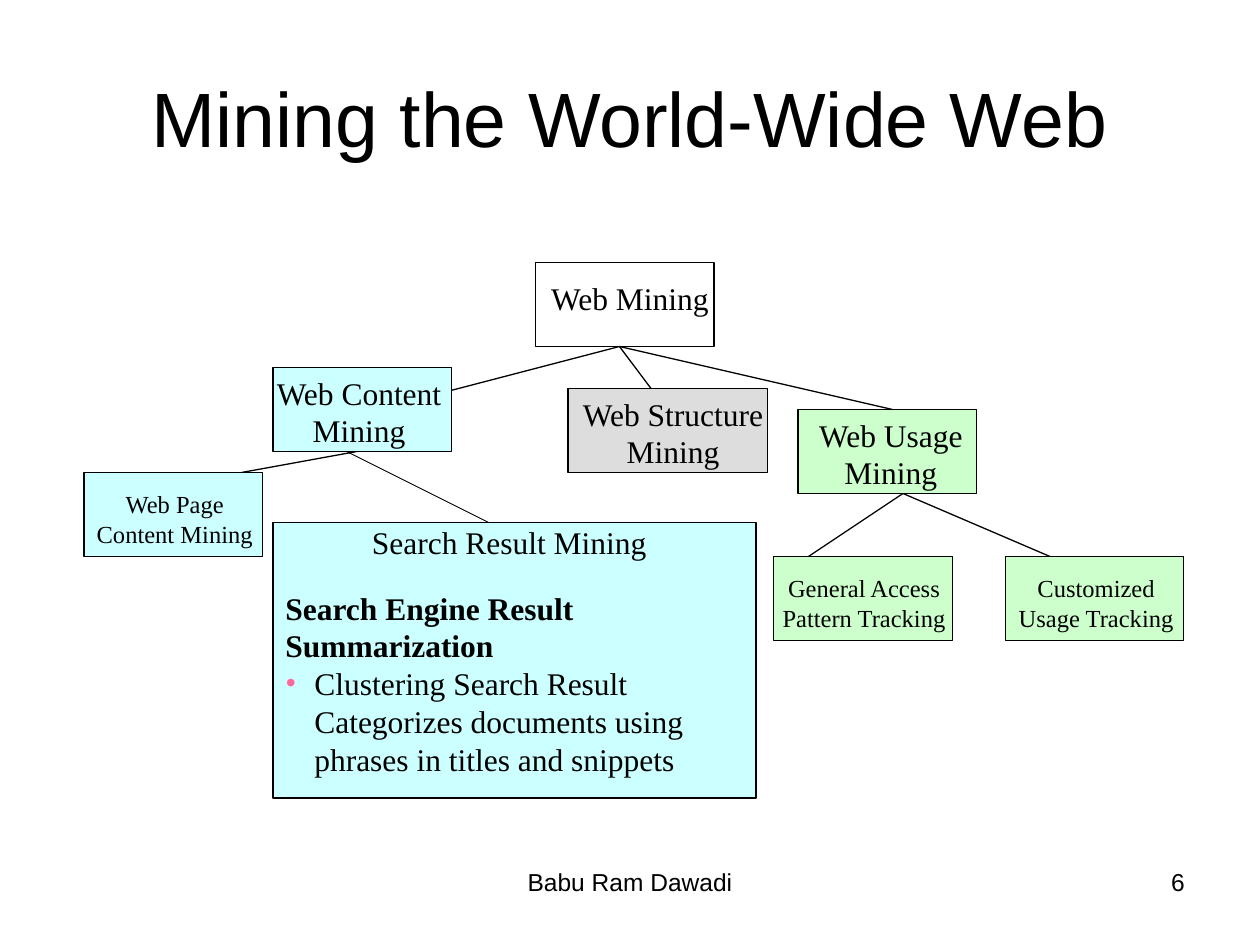
"""Build the web mining taxonomy slide."""
from lxml.etree import SubElement
from pptx import Presentation
from pptx.dml.color import RGBColor
from pptx.enum.shapes import MSO_CONNECTOR as CONN, MSO_SHAPE as SHAPE
from pptx.enum.text import MSO_ANCHOR as ANCHOR, PP_ALIGN as ALIGN
from pptx.oxml.ns import qn
from pptx.util import Inches, Pt

COLORS = {"ink": "000000", "content": "CCFFFF", "structure": "DDDDDD",
          "usage": "CCFFCC", "bullet": "FF6699"}
SERIF, SANS = "Times New Roman", "Arial"
UNIT = 1 / 12
TITLE = "Mining the World-Wide Web"

# Grid units: box, fill, lines, size, label left, label width, label drop
NODES = [
    ((51, 25, 17, 8), None, ["Web Mining"], 18, 51.2, 17.6, 1),
    ((76, 39, 17, 8), "usage", ["Web Usage", "Mining"], 18, 76.7, 16.3, 0),
    ((73.7, 53, 17, 8), "usage", ["General Access", "Pattern Tracking"], 14, 73.3, 18, 1),
    ((95.75, 53, 17, 8), "usage", ["Customized", "Usage Tracking"], 14, 95.75, 17.3, 1),
    ((54.1, 37, 19, 8), "structure", ["Web Structure", "Mining"], 18, 54.2, 19.8, 0),
    ((26, 35, 17, 8), "content", ["Web Content", "Mining"], 18, 25.1, 18.2, 0),
    ((8, 45, 17, 8), "content", ["Web Page", "Content Mining"], 14, 8, 17.3, 1),
]
RESULT_BOX = (26, 49.8, 46, 26.2)
RESULT_LABEL = (26, 49.2, 45, 25.7)
RESULT = [
    ("Search Result Mining", {"alignment": ALIGN.CENTER, "space_after": Pt(16)}, False),
    ("Search Engine Result Summarization", {}, True),
    ("Clustering Search Result Categorizes documents using phrases in titles and snippets",
     {}, False),
]
LINKS = [
    ((59, 33), [(85, 39), (62, 37), (36, 39)], 0.75),
    ((86, 47), [(77, 53), (100, 53)], 0.75),
    ((34, 43), [(23, 45)], 0.75),
    ((33, 43), [(47, 50)], 0.5),
]
FOOTERS = [("Babu Ram Dawadi", (41, 82, 38, 6.2), ALIGN.CENTER),
           ("6", (86, 82, 28, 6.2), ALIGN.RIGHT)]


def rgb(name):
    return RGBColor.from_string(COLORS[name])


def grid(*values):
    return [Inches(v * UNIT) for v in values]


def add_text(p, text, size, font, bold=False, **layout):
    for key, value in layout.items():
        setattr(p, key, value)
    r = p.add_run()
    r.text = text
    for key, value in {"size": Pt(size), "name": font, "bold": bold}.items():
        setattr(r.font, key, value)
    r.font.color.rgb = rgb("ink")


def add_label(s, area, lines, size, font, wrap=False):
    tf = s.shapes.add_textbox(*grid(*area)).text_frame
    tf.word_wrap = wrap
    for i, (text, layout, bold) in enumerate(lines):
        p = tf.add_paragraph() if i else tf.paragraphs[0]
        add_text(p, text, size, font, bold, **layout)
    return tf


def add_box(s, area, fill):
    sp = s.shapes.add_shape(SHAPE.RECTANGLE, *grid(*area))
    sp.shadow.inherit = False
    if fill:
        sp.fill.solid()
        sp.fill.fore_color.rgb = rgb(fill)
    else:
        sp.fill.background()
    sp.line.color.rgb = rgb("ink")
    sp.line.width = Pt(0.75)


def add_link(s, start, end, width):
    c = s.shapes.add_connector(CONN.STRAIGHT, *grid(*start, *end))
    c.line.color.rgb = rgb("ink")
    c.line.width = Pt(width)
    SubElement(c._element.spPr, qn("a:effectLst"))


def add_bullet(p, indent):
    pPr = p._p.get_or_add_pPr()
    pPr.set("marL", str(indent))
    pPr.set("indent", str(-indent))
    color = SubElement(pPr, qn("a:buClr"))
    SubElement(color, qn("a:srgbClr"), val=COLORS["bullet"])
    SubElement(pPr, qn("a:buFont"), typeface=SERIF)
    SubElement(pPr, qn("a:buChar"), char="•")


def main():
    prs = Presentation()
    prs.slide_width, prs.slide_height = Inches(10), Inches(7.5)
    s = prs.slides.add_slide(prs.slide_layouts[5])

    title = s.shapes.title
    title.left, title.top, title.width, title.height = grid(6, 3.6, 108, 15)
    title.text_frame.vertical_anchor = ANCHOR.MIDDLE
    add_text(title.text_frame.paragraphs[0], TITLE, 44, SANS, alignment=ALIGN.CENTER)

    for start, ends, width in LINKS:
        for end in ends:
            add_link(s, start, end, width)

    for box, fill, lines, size, left, width, drop in NODES:
        add_box(s, box, fill)
        height = 4.8 if len(lines) == 1 else 8.4 if size == 18 else 6.8
        centred = [(text, {"alignment": ALIGN.CENTER}, False) for text in lines]
        add_label(s, (left, box[1] + drop, width, height), centred, size, SERIF)

    add_box(s, RESULT_BOX, "content")
    tf = add_label(s, RESULT_LABEL, RESULT, 18, SERIF, wrap=True)
    add_bullet(tf.paragraphs[-1], Inches(0.23))

    for text, area, align in FOOTERS:
        add_label(s, area, [(text, {"alignment": align}, False)], 14, SANS, wrap=True)

    prs.save("out.pptx")


if __name__ == "__main__":
    main()
